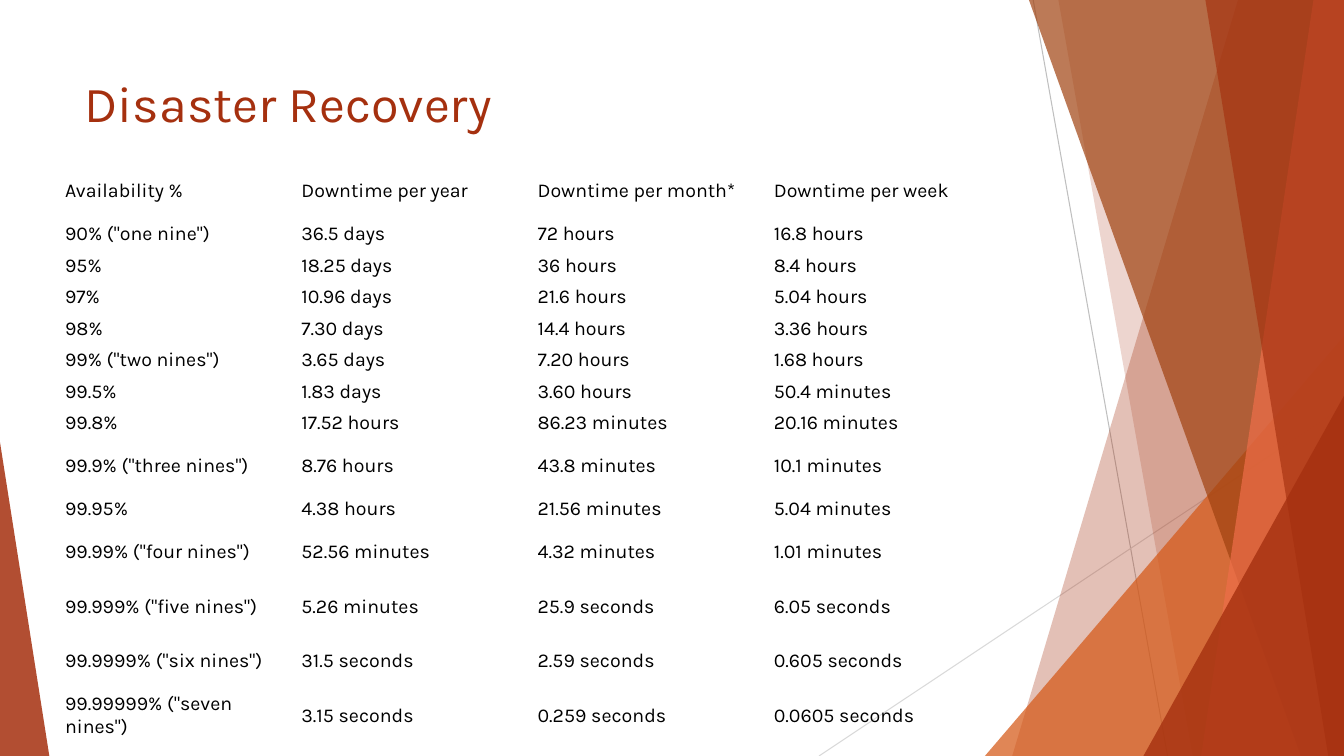
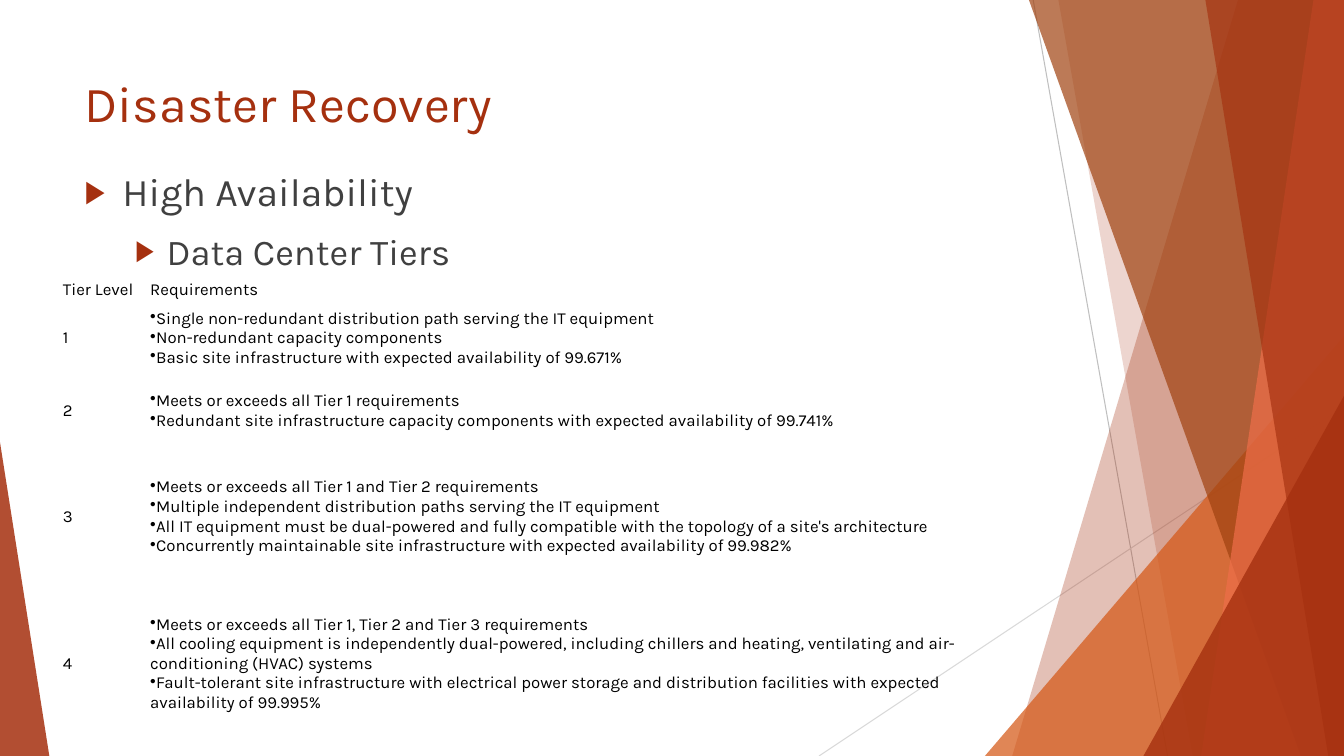
from lxml.etree import SubElement
from pptx import Presentation
from pptx.dml.color import RGBColor
from pptx.enum.shapes import MSO_CONNECTOR, MSO_SHAPE
from pptx.enum.text import MSO_ANCHOR, MSO_AUTO_SIZE, PP_ALIGN
from pptx.oxml.ns import qn
from pptx.util import Emu, Pt

EMU_PER_PX = 9525
WIDTH, HEIGHT = 1280, 720
FONT = "Karla"
BRICK, ORANGE, BROWN, CORAL = "A5300F", "D55816", "A04210", "EE6E4A"
BLACK, CHARCOAL = "000000", "404040"
PLAIN_TABLE_STYLE = "{2D5ABB26-0587-4C30-8999-92F81FD0307C}"
TALL, SHORT = 52, 30

DOWNTIME = [
    ("Availability %", "Downtime per year", "Downtime per month*", "Downtime per week"),
    ('90% ("one nine")', "36.5 days", "72 hours", "16.8 hours"),
    ("95%", "18.25 days", "36 hours", "8.4 hours"),
    ("97%", "10.96 days", "21.6 hours", "5.04 hours"),
    ("98%", "7.30 days", "14.4 hours", "3.36 hours"),
    ('99% ("two nines")', "3.65 days", "7.20 hours", "1.68 hours"),
    ("99.5%", "1.83 days", "3.60 hours", "50.4 minutes"),
    ("99.8%", "17.52 hours", "86.23 minutes", "20.16 minutes"),
    ('99.9% ("three nines")', "8.76 hours", "43.8 minutes", "10.1 minutes"),
    ("99.95%", "4.38 hours", "21.56 minutes", "5.04 minutes"),
    ('99.99% ("four nines")', "52.56 minutes", "4.32 minutes", "1.01 minutes"),
    ('99.999% ("five nines")', "5.26 minutes", "25.9 seconds", "6.05 seconds"),
    ('99.9999% ("six nines")', "31.5 seconds", "2.59 seconds", "0.605 seconds"),
    ('99.99999% ("seven nines")', "3.15 seconds", "0.259 seconds", "0.0605 seconds"),
]
DOWNTIME_HEIGHTS = [TALL] + [SHORT] * 7 + [TALL, SHORT] + [TALL] * 4

TIERS = [
    ("Tier Level", "Requirements"),
    ("1", [
        "Single non-redundant distribution path serving the IT equipment",
        "Non-redundant capacity components",
        "Basic site infrastructure with expected availability of 99.671%",
    ]),
    ("2", [
        "Meets or exceeds all Tier 1 requirements",
        "Redundant site infrastructure capacity components with expected availability of 99.741%",
    ]),
    ("3", [
        "Meets or exceeds all Tier 1 and Tier 2 requirements",
        "Multiple independent distribution paths serving the IT equipment",
        "All IT equipment must be dual-powered and fully compatible with the topology of a site's architecture",
        "Concurrently maintainable site infrastructure with expected availability of 99.982%",
    ]),
    ("4", [
        "Meets or exceeds all Tier 1, Tier 2 and Tier 3 requirements",
        "All cooling equipment is independently dual-powered, including chillers and heating, "
        "ventilating and air-conditioning (HVAC) systems",
        "Fault-tolerant site infrastructure with electrical power storage and distribution "
        "facilities with expected availability of 99.995%",
    ]),
]
TIER_HEIGHTS = [20, 69, 69, 133, 147]


def px(length):
    return Emu(length * EMU_PER_PX)


def color(value):
    return RGBColor.from_string(value)


def place(box, left, top, width, height):
    box.left, box.top, box.width, box.height = map(px, (left, top, width, height))


def set_bullet(para, mark, left, hang, tint=None, percent=100):
    props = para._p.get_or_add_pPr()
    props.set("marL", str(px(left)))
    props.set("indent", str(px(-hang)))
    if tint:
        SubElement(SubElement(props, qn("a:buClr")), qn("a:srgbClr"), val=tint)
    SubElement(props, qn("a:buSzPct"), val=str(percent * 1000))
    SubElement(props, qn("a:buChar"), char=mark)


def write(frame, text, size, tint=BLACK, level=0, before=0, bullet=None):
    para = frame.paragraphs[-1]
    if para.runs:
        para = frame.add_paragraph()
    para.level = level
    para.alignment = PP_ALIGN.LEFT
    para.space_before = Pt(before)
    if bullet:
        set_bullet(para, **bullet)
    span = para.add_run()
    span.text = text
    span.font.name = FONT
    span.font.size = Pt(size)
    span.font.color.rgb = color(tint)


def add_line(shapes, start, end, tint):
    line = shapes.add_connector(MSO_CONNECTOR.STRAIGHT, *map(px, start + end))
    line.line.color.rgb = color(tint)
    line.line.width = Pt(0.75)
    SubElement(line.element.spPr, qn("a:effectLst"))


def paint(shape, tint, opacity):
    shape.shadow.inherit = False
    shape.fill.solid()
    shape.fill.fore_color.rgb = color(tint)
    shape.line.fill.background()
    solid = shape.element.spPr.find(".//" + qn("a:srgbClr"))
    SubElement(solid, qn("a:alpha"), val=str(opacity * 1000))


def add_facet(shapes, top_left, bottom_left, tint, opacity):
    outline = shapes.build_freeform(top_left, 0, scale=EMU_PER_PX)
    outline.add_line_segments([(WIDTH, 0), (WIDTH, HEIGHT), (bottom_left, HEIGHT)])
    paint(outline.convert_to_shape(), tint, opacity)


def add_triangle(shapes, left, top, width, apex, tint, opacity):
    triangle = shapes.add_shape(
        MSO_SHAPE.ISOSCELES_TRIANGLE, *map(px, (left, top, width, HEIGHT - top)))
    triangle.adjustments[0] = apex
    paint(triangle, tint, opacity)


def decorate_master(deck, page):
    group = page.shapes.add_group_shape()
    shapes = group.shapes
    add_line(shapes, (984, 0), (1112, HEIGHT), "BFBFBF")
    add_line(shapes, (WIDTH, 387), (780, HEIGHT), "D9D9D9")
    add_facet(shapes, 1179, 964, BRICK, 30)
    add_facet(shapes, 1008, 1136, BRICK, 20)
    add_triangle(shapes, 938, 320, 342, 1, ORANGE, 72)
    add_facet(shapes, 980, 1239, BROWN, 70)
    add_facet(shapes, 1251, 1144, CORAL, 70)
    add_facet(shapes, 1148, 1265, BRICK, 65)
    add_triangle(shapes, 1089, 377, 191, 1, BRICK, 80)
    add_triangle(shapes, 0, 421, 47, 0, BRICK, 85)
    for number, props in enumerate(group.element.iter(qn("p:cNvPr")), 100):
        props.set("id", str(number))
    deck.slide_master.shapes.element.insert(2, group.element)


def format_frame(frame):
    frame.word_wrap = True
    frame.auto_size = MSO_AUTO_SIZE.NONE
    frame.vertical_anchor = MSO_ANCHOR.TOP


def add_page(deck, layout_name, title):
    page = deck.slides.add_slide(deck.slide_layouts.get_by_name(layout_name))
    box = page.shapes.title
    place(box, 71, 64, 902, 138)
    format_frame(box.text_frame)
    write(box.text_frame, title, 36, BRICK)
    return page


def add_outline(page, entries):
    box = page.placeholders[1]
    place(box, 71, 155, 864, 479)
    format_frame(box.text_frame)
    for level, (text, size, left, hang) in enumerate(entries):
        bullet = dict(mark="▶", left=left, hang=hang, tint=BRICK, percent=80)
        write(box.text_frame, text, size, CHARCOAL, level, before=10, bullet=bullet)


def fill_cell(cell, content, size, inset_x, inset_y):
    cell.fill.background()
    cell.vertical_anchor = MSO_ANCHOR.MIDDLE
    cell.margin_left = cell.margin_right = px(inset_x)
    cell.margin_top = cell.margin_bottom = px(inset_y)
    if isinstance(content, str):
        write(cell.text_frame, content, size)
        return
    for text in content:
        write(cell.text_frame, text, size, bullet=dict(mark="•", left=0, hang=0))


def add_grid(page, rows, left, top, widths, heights, size, insets):
    frame = page.shapes.add_table(
        len(rows), len(widths), *map(px, (left, top, sum(widths), sum(heights))))
    table = frame.table
    table.first_row = table.horz_banding = False
    frame.element.find(".//" + qn("a:tableStyleId")).text = PLAIN_TABLE_STYLE
    for column, width in zip(table.columns, widths):
        column.width = px(width)
    for row, height, contents in zip(table.rows, heights, rows):
        row.height = px(height)
        for cell, content in zip(row.cells, contents):
            fill_cell(cell, content, size, *insets)


def main():
    deck = Presentation()
    deck.slide_width, deck.slide_height = px(WIDTH), px(HEIGHT)

    downtime = add_page(deck, "Title Only", "Disaster Recovery")
    decorate_master(deck, downtime)
    add_grid(downtime, DOWNTIME, 56, 156, [225] * 4, DOWNTIME_HEIGHTS, 14, (6, 3))

    tiers = add_page(deck, "Title and Content", "Disaster Recovery")
    add_outline(tiers, [("High Availability", 28, 36, 36), ("Data Center Tiers", 26, 78, 30)])
    add_grid(tiers, TIERS, 56, 265, [83, 834], TIER_HEIGHTS, 12, (4, 2))

    deck.save("out.pptx")


if __name__ == "__main__":
    main()
